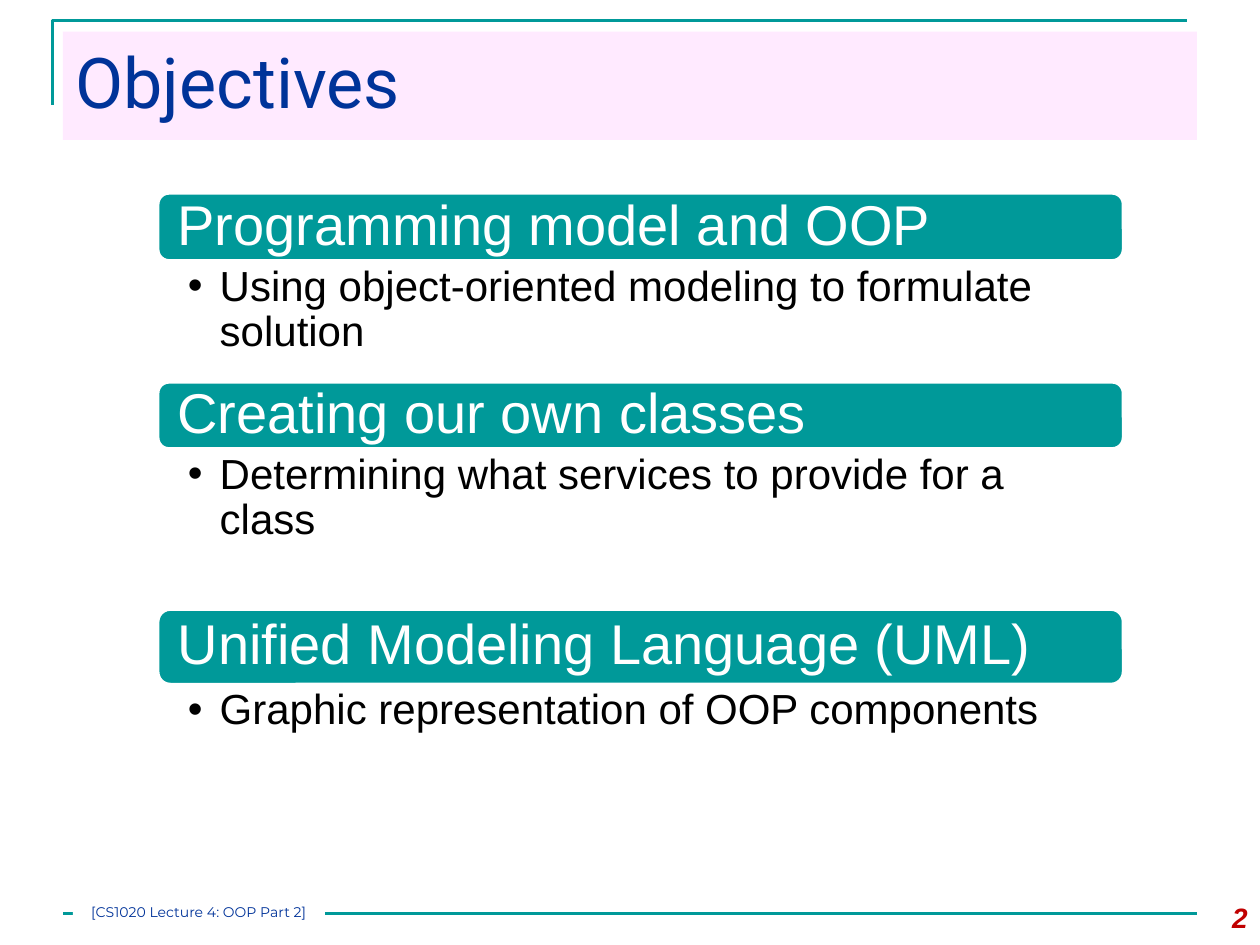
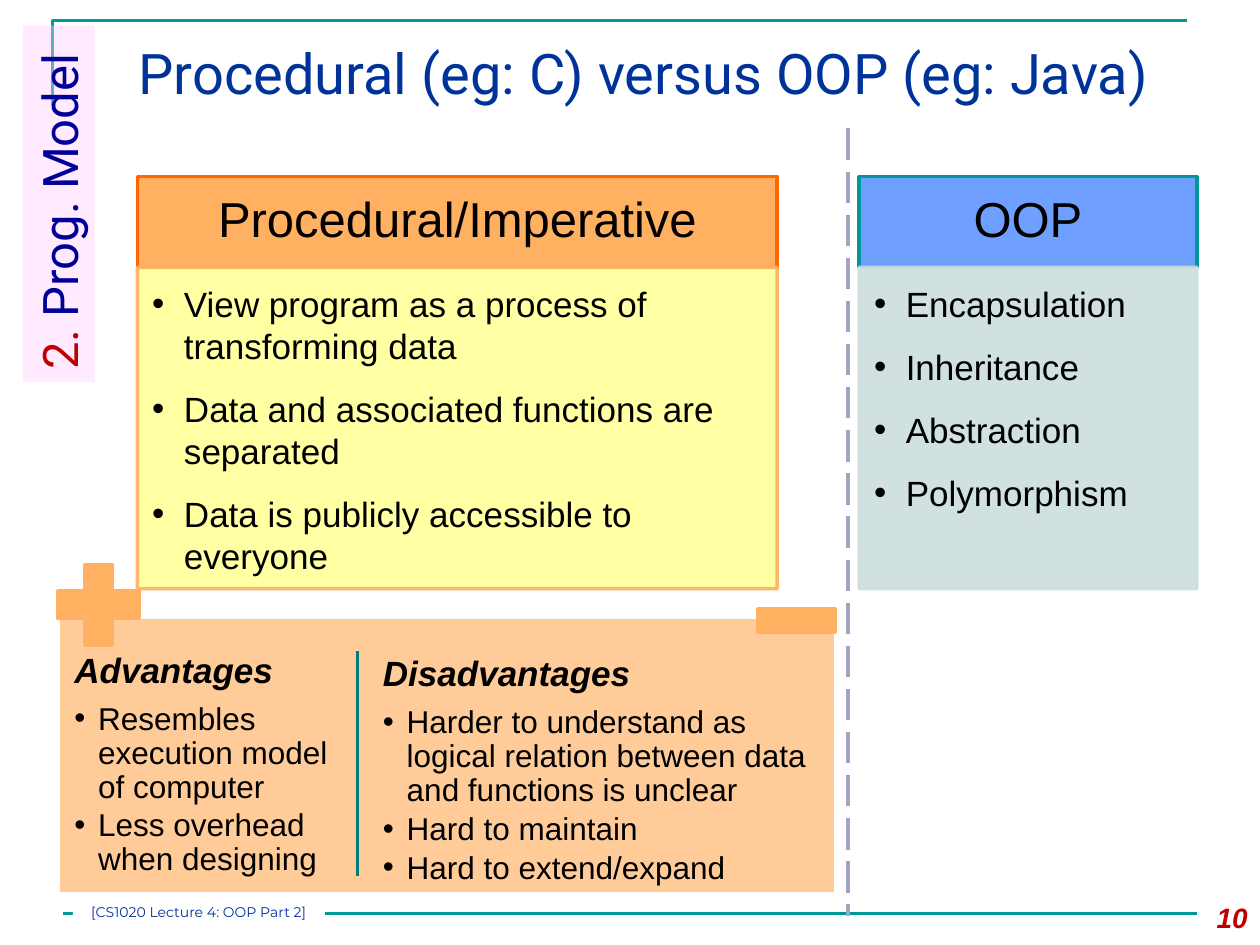
from dataclasses import dataclass, replace
from typing import NamedTuple

from lxml.etree import SubElement
from pptx import Presentation
from pptx.dml.color import RGBColor
from pptx.enum.dml import MSO_LINE
from pptx.enum.shapes import MSO_CONNECTOR, MSO_SHAPE
from pptx.enum.text import MSO_ANCHOR as Anchor, PP_ALIGN as Align
from pptx.oxml.ns import qn
from pptx.util import Cm, Pt

TEAL, DARK_TEAL, NAVY, INK_BLUE = "009999", "007B7B", "003399", "000099"
PINK, RED, WHITE, BLACK = "FFCCFF", "C00000", "FFFFFF", "000000"
ORANGE, DEEP_ORANGE, PEACH, YELLOW = "FFB061", "FF6600", "FFCC99", "FFFF99"
BLUE, PALE_TEAL, LAVENDER = "70A0FF", "CCDEDE", "A3A3C2"


class Box(NamedTuple):
    """Place and size in centimetres."""
    left: float
    top: float
    width: float
    height: float

    def lengths(self) -> list:
        return [Cm(value) for value in self]


class Insets(NamedTuple):
    left: float = 0.25
    top: float = 0.13
    right: float = 0.25
    bottom: float = 0.13


@dataclass(frozen=True)
class TextStyle:
    size: float
    colour: str = BLACK
    font: str = "Arial"
    emphasis: bool = False
    align: Align = Align.LEFT
    line_spacing: float = 1.0
    space_after: float = 0
    bullet_indent: float = 0


class Line(NamedTuple):
    text: str
    style: TextStyle


@dataclass(frozen=True)
class Objective:
    heading: str
    detail: str
    heading_height: float
    detail_height: float


@dataclass(frozen=True)
class Paradigm:
    name: str
    traits: list[str]
    left: float
    width: float
    heading_fill: str
    heading_line: str
    body_fill: str
    body_line: str


class Assessment(NamedTuple):
    heading: str
    points: list[str]
    box: Box


TITLE = TextStyle(40, NAVY, "Roboto")
FOOTER = TextStyle(8, NAVY, "Montserrat", align=Align.CENTER)
PAGE_NUMBER = TextStyle(16, RED, emphasis=True, align=Align.RIGHT)
OBJECTIVE_HEADING = TextStyle(32, WHITE, line_spacing=0.9)
OBJECTIVE_DETAIL = TextStyle(24, line_spacing=0.9, bullet_indent=0.64)
SECTION = TextStyle(28, RED, "Roboto")
PARADIGM_HEADING = TextStyle(28, align=Align.CENTER, line_spacing=0.9)
PARADIGM_TRAIT = TextStyle(20, space_after=12, bullet_indent=0.64)
ASSESSMENT_HEADING = TextStyle(20, emphasis=True, line_spacing=0.9, space_after=7)
ASSESSMENT_POINT = TextStyle(18, line_spacing=0.9, space_after=2.7, bullet_indent=0.48)

OBJECTIVES = [
    Objective("Programming model and OOP",
              "Using object-oriented modeling to formulate solution", 1.37, 2.44),
    Objective("Creating our own classes",
              "Determining what services to provide for a class", 1.35, 3.23),
    Objective("Unified Modeling Language (UML)",
              "Graphic representation of OOP components", 1.52, 1.4),
]
PARADIGMS = [
    Paradigm("Procedural/Imperative",
             ["View program as a process of transforming data",
              "Data and associated functions are separated",
              "Data is publicly accessible to everyone"],
             2.77, 12.9, ORANGE, DEEP_ORANGE, YELLOW, ORANGE),
    Paradigm("OOP", ["Encapsulation", "Inheritance", "Abstraction", "Polymorphism"],
             17.32, 6.81, BLUE, TEAL, PALE_TEAL, PALE_TEAL),
]
ASSESSMENTS = [
    Assessment("Advantages",
               ["Resembles execution model of computer", "Less overhead when designing"],
               Box(1.4, 13.06, 5.64, 4.9)),
    Assessment("Disadvantages",
               ["Harder to understand as logical relation between data and functions is unclear",
                "Hard to maintain", "Hard to extend/expand"],
               Box(7.62, 13.13, 8.97, 4.75)),
]


def rgb(colour: str) -> RGBColor:
    return RGBColor.from_string(colour)


def add_run(paragraph, text: str, style: TextStyle) -> None:
    run = paragraph.add_run()
    run.text = text
    font = run.font
    font.name, font.size = style.font, Pt(style.size)
    font.bold = font.italic = style.emphasis
    font.color.rgb = rgb(style.colour)


def add_bullet(paragraph, indent: float) -> None:
    properties = paragraph._p.get_or_add_pPr()
    properties.set("marL", str(Cm(indent)))
    properties.set("indent", str(-Cm(indent)))
    SubElement(properties, qn("a:buFont")).set("typeface", "Arial")
    SubElement(properties, qn("a:buChar")).set("char", "•")


def write_text(shape, lines: list[Line], *, insets: Insets = Insets(),
               anchor: Anchor = Anchor.TOP) -> None:
    frame = shape.text_frame
    frame.word_wrap = True
    frame.vertical_anchor = anchor
    frame.margin_left, frame.margin_top, frame.margin_right, frame.margin_bottom = map(Cm, insets)
    for index, (text, style) in enumerate(lines):
        paragraph = frame.add_paragraph() if index else frame.paragraphs[0]
        paragraph.alignment = style.align
        paragraph.line_spacing = style.line_spacing
        paragraph.space_after = Pt(style.space_after)
        if style.bullet_indent:
            add_bullet(paragraph, style.bullet_indent)
        add_run(paragraph, text, style)


def add_block(slide, box: Box, fill: str, *, line: str = "", opacity: int = 100,
              kind: MSO_SHAPE = MSO_SHAPE.RECTANGLE):
    """Add a filled shape; opacity is a percentage for both fill and outline."""
    shape = slide.shapes.add_shape(kind, *box.lengths())
    shape.shadow.inherit = False
    shape.fill.solid()
    shape.fill.fore_color.rgb = rgb(fill)
    if line:
        shape.line.color.rgb = rgb(line)
        shape.line.width = Pt(2)
    else:
        shape.line.fill.background()
    if opacity < 100:
        for colour in shape.element.spPr.iter(qn("a:srgbClr")):
            SubElement(colour, qn("a:alpha")).set("val", str(opacity * 1000))
    return shape


def add_text(slide, box: Box, lines: list[Line], insets: Insets = Insets()) -> None:
    write_text(slide.shapes.add_textbox(*box.lengths()), lines, insets=insets)


def add_rule(slide, start: tuple[float, float], end: tuple[float, float], colour: str,
             width: float, dash: MSO_LINE | None = None) -> None:
    rule = slide.shapes.add_connector(MSO_CONNECTOR.STRAIGHT, *map(Cm, start + end))
    rule.line.color.rgb = rgb(colour)
    rule.line.width = Pt(width)
    if dash is not None:
        rule.line.dash_style = dash
    SubElement(rule.element.spPr, qn("a:effectLst"))


def add_frame(slide, page: int) -> None:
    """Draw the corner line, bottom rule and page number."""
    builder = slide.shapes.build_freeform(Cm(1.06), Cm(2.11))
    builder.add_line_segments([(Cm(1.06), Cm(0.42)), (Cm(23.92), Cm(0.42))], close=False)
    corner = builder.convert_to_shape()
    corner.shadow.inherit = False
    corner.fill.background()
    corner.line.color.rgb = rgb(TEAL)
    corner.line.width = Pt(1.5)
    add_rule(slide, (1.27, 18.42), (24.13, 18.42), TEAL, 1.5)
    add_text(slide, Box(23.7, 18.03, 1.7, 1.02), [Line(str(page), PAGE_NUMBER)])


def add_footer_label(slide) -> None:
    label = add_block(slide, Box(1.47, 18.21, 5.08, 0.43), WHITE)
    write_text(label, [Line("[CS1020 Lecture 4: OOP Part 2]", FOOTER)],
               insets=Insets(0, 0, 0, 0))


def add_objective(slide, objective: Objective, top: float) -> float:
    """Draw a heading with its detail below, and return the bottom edge."""
    left, width = 3.18, 19.47
    heading = add_block(slide, Box(left, top, width, objective.heading_height), TEAL,
                        line=WHITE, kind=MSO_SHAPE.ROUNDED_RECTANGLE)
    write_text(heading, [Line(objective.heading, OBJECTIVE_HEADING)],
               insets=Insets(0.33, 0, 0.33, 0), anchor=Anchor.MIDDLE)
    top += objective.heading_height
    add_text(slide, Box(left, top, width, objective.detail_height),
             [Line(objective.detail, OBJECTIVE_DETAIL)], Insets(0.61, 0.08, 0.48, 0.08))
    return top + objective.detail_height


def add_paradigm(slide, paradigm: Paradigm) -> None:
    top, heading_height, body_height = 3.56, 1.83, 6.48
    heading = add_block(slide, Box(paradigm.left, top, paradigm.width, heading_height),
                        paradigm.heading_fill, line=paradigm.heading_line)
    write_text(heading, [Line(paradigm.name, PARADIGM_HEADING)],
               insets=Insets(0.56, 0.3, 0.56, 0.3), anchor=Anchor.MIDDLE)
    body = add_block(slide, Box(paradigm.left, top + heading_height, paradigm.width, body_height),
                     paradigm.body_fill, line=paradigm.body_line, opacity=90)
    write_text(body, [Line(trait, PARADIGM_TRAIT) for trait in paradigm.traits],
               insets=Insets(0.3, 0.3, 0.41, 0.43))


def add_section_tab(slide) -> None:
    tab = add_block(slide, Box(-2.41, 3.38, 7.19, 1.45), PINK, opacity=40)
    tab.rotation = 270
    write_text(tab, [Line("2.", SECTION)])
    add_run(tab.text_frame.paragraphs[0], " Prog. Model", replace(SECTION, colour=INK_BLUE))


def add_assessments(slide) -> None:
    add_block(slide, Box(1.17, 12.45, 15.67, 5.56), PEACH, line=WHITE)
    for heading, points, box in ASSESSMENTS:
        lines = [Line(heading, ASSESSMENT_HEADING)]
        lines += [Line(point, ASSESSMENT_POINT) for point in points]
        add_text(slide, box, lines, Insets(0.1, 0.1, 0.1, 0.1))
    plus = add_block(slide, Box(1.17, 11.38, 1.63, 1.63), ORANGE, line=ORANGE,
                     kind=MSO_SHAPE.CROSS)
    plus.adjustments[0] = 0.33
    add_block(slide, Box(15.27, 12.27, 1.57, 0.48), ORANGE, line=ORANGE)
    add_rule(slide, (7.21, 13.13), (7.21, 17.65), DARK_TEAL, 2)


def build_objectives(slide) -> None:
    add_frame(slide, 2)
    title = add_block(slide, Box(1.27, 0.64, 22.86, 2.18), PINK, opacity=40)
    write_text(title, [Line("Objectives", TITLE)])
    add_footer_label(slide)
    top = 3.89
    for objective in OBJECTIVES:
        top = add_objective(slide, objective, top)


def build_comparison(slide) -> None:
    add_frame(slide, 10)
    add_text(slide, Box(2.54, 0.64, 21.59, 2.18),
             [Line("Procedural (eg: C) versus OOP (eg: Java)", replace(TITLE, size=32))])
    add_section_tab(slide)
    for paradigm in PARADIGMS:
        add_paradigm(slide, paradigm)
    add_assessments(slide)
    add_rule(slide, (17.09, 2.59), (17.09, 18.47), LAVENDER, 2.25, MSO_LINE.LONG_DASH)
    add_footer_label(slide)


def main() -> None:
    presentation = Presentation()
    presentation.slide_width, presentation.slide_height = Cm(25.4), Cm(19.05)
    blank = presentation.slide_layouts[6]
    for build in (build_objectives, build_comparison):
        build(presentation.slides.add_slide(blank))
    presentation.save("out.pptx")


if __name__ == "__main__":
    main()
